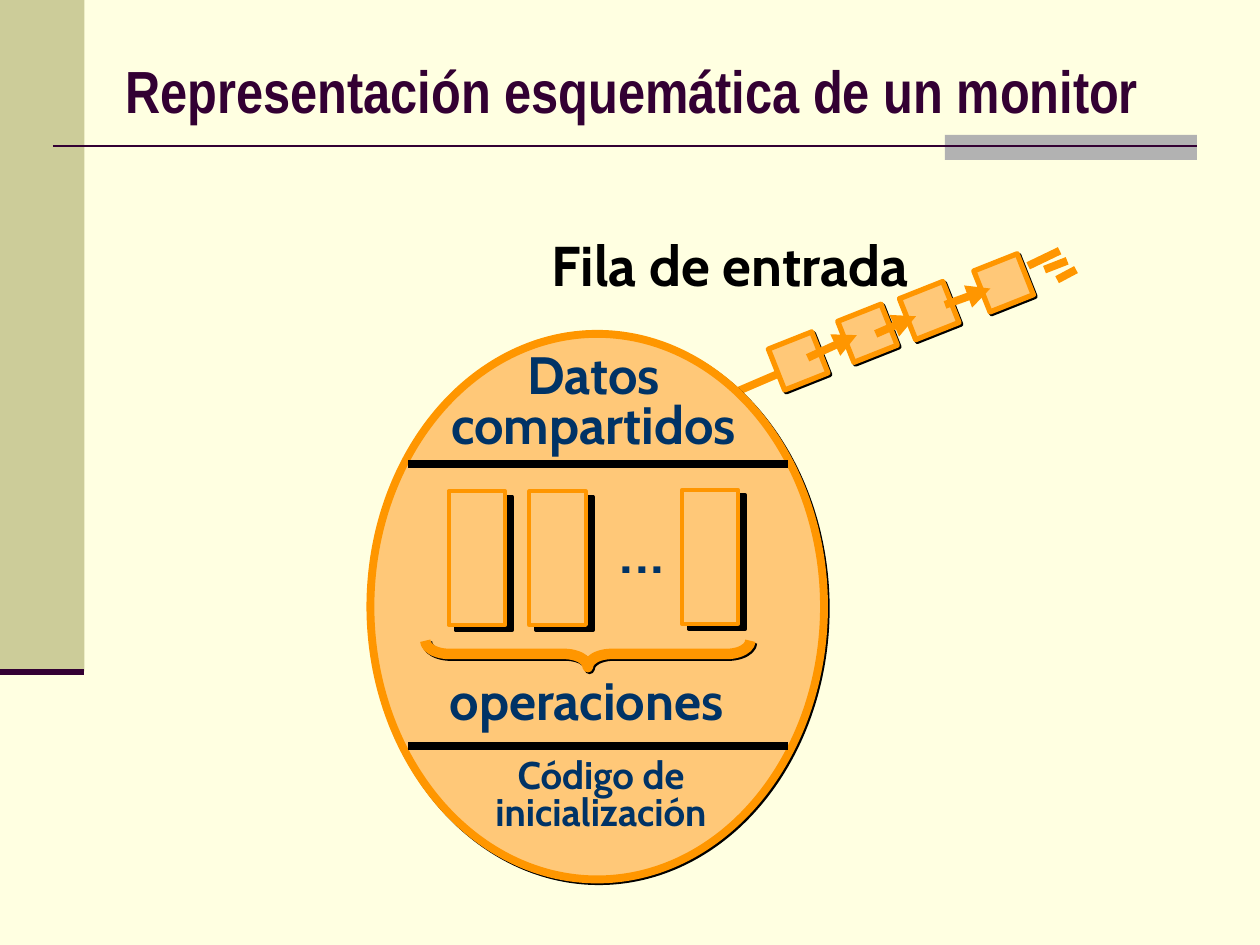
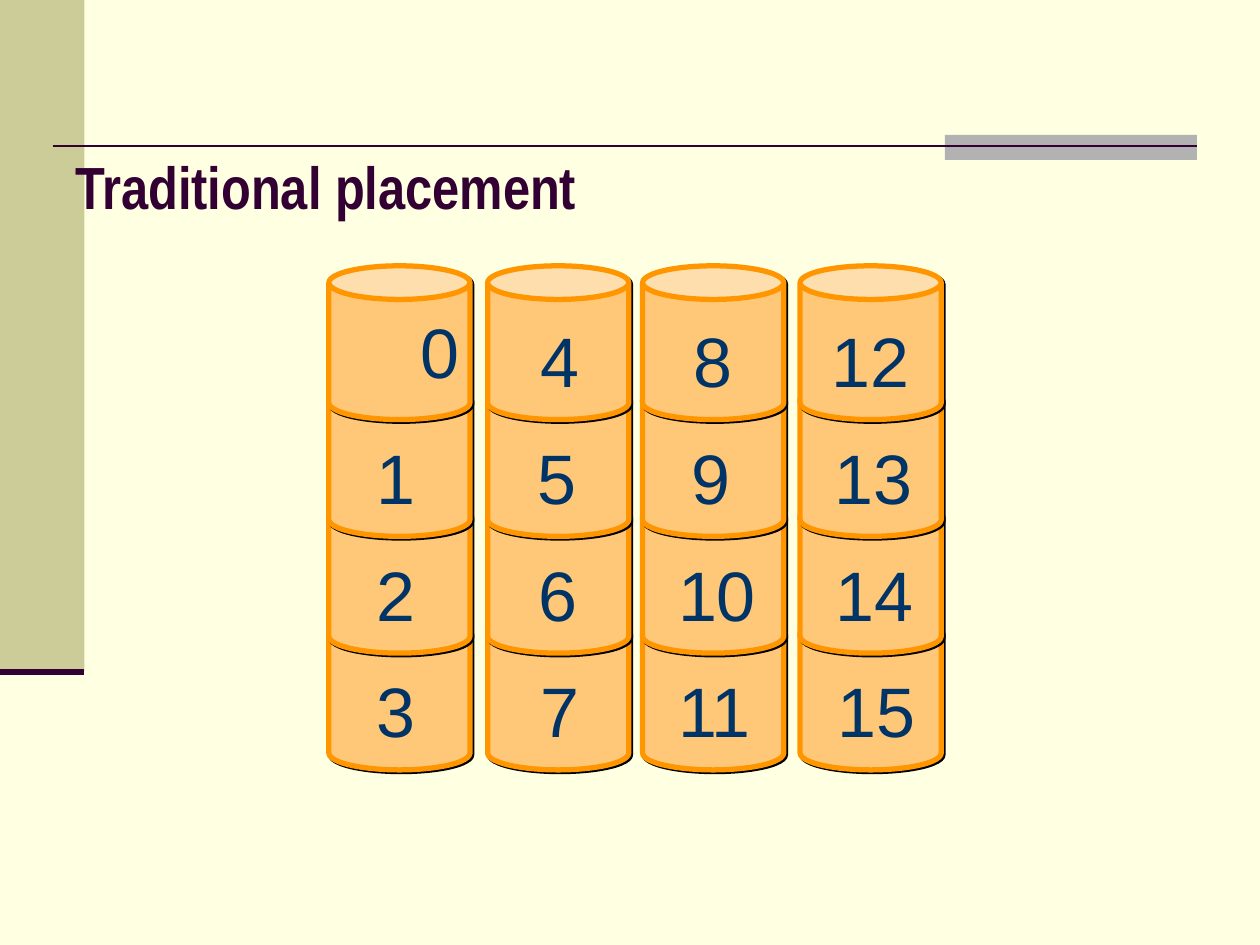
from dataclasses import dataclass
from typing import NamedTuple, Optional

from lxml.etree import SubElement
from pptx import Presentation
from pptx.dml.color import RGBColor
from pptx.enum.shapes import MSO_CONNECTOR as Connector, MSO_SHAPE as Preset
from pptx.enum.text import MSO_ANCHOR as Anchor, MSO_AUTO_SIZE as AutoSize, PP_ALIGN as Align
from pptx.oxml.ns import qn
from pptx.shapes.autoshape import Shape
from pptx.slide import Slide
from pptx.util import Inches, Pt


@dataclass(frozen=True)
class Theme:
    page: str = "FFFFE1"
    band: str = "CCCC99"
    accent: str = "B2B2B2"
    title: str = "330033"
    fill: str = "FFC878"
    edge: str = "FF9600"
    ink: str = "003366"
    black: str = "000000"
    title_font: str = "Arial Narrow"
    label_font: str = "Cabin"
    number_font: str = "Arial"
    title_size: float = 34
    heading_size: float = 32
    part_size: float = 30
    code_size: float = 22
    dots_size: float = 44
    number_size: float = 40


THEME = Theme()


class Area(NamedTuple):
    left: float
    top: float
    width: float
    height: float


class Shadow(NamedTuple):
    distance: float
    angle: int


class Stroke(NamedTuple):
    x1: float
    y1: float
    x2: float
    y2: float
    arrow: bool = False


@dataclass(frozen=True)
class Label:
    text: str
    area: Area
    size: float
    font: str = THEME.label_font
    color: str = THEME.ink
    bold: bool = True
    align: Align = Align.LEFT
    anchor: Anchor = Anchor.TOP
    spacing: float = 1.0
    wrap: bool = False


THIN_SHADOW = Shadow(1.4, 45)
DEEP_SHADOW = Shadow(5, 37)


def rgb(color: str) -> RGBColor:
    return RGBColor.from_string(color)


def add_shadow(shape: Shape, shadow: Shadow) -> None:
    effects = shape._element.spPr.find(qn("a:effectLst"))
    outer = SubElement(effects, qn("a:outerShdw"), blurRad="0", dist=str(Pt(shadow.distance)),
                       dir=str(shadow.angle * 60000), algn="tl", rotWithShape="0")
    SubElement(outer, qn("a:srgbClr"), val=THEME.black)


def draw_shape(page: Slide, preset: Preset, area: Area, fill: Optional[str] = THEME.fill,
               edge: Optional[str] = THEME.edge, width: float = 3,
               shadow: Optional[Shadow] = THIN_SHADOW, rotation: float = 0) -> Shape:
    shape = page.shapes.add_shape(preset, *map(Inches, area))
    shape.rotation = rotation
    shape.shadow.inherit = False
    if fill:
        shape.fill.solid()
        shape.fill.fore_color.rgb = rgb(fill)
    else:
        shape.fill.background()
    if edge:
        shape.line.color.rgb = rgb(edge)
        shape.line.width = Pt(width)
    else:
        shape.line.fill.background()
    if shadow:
        add_shadow(shape, shadow)
    return shape


def draw_line(page: Slide, stroke: Stroke, color: str, width: float) -> None:
    ends = map(Inches, (stroke.x1, stroke.y1, stroke.x2, stroke.y2))
    line = page.shapes.add_connector(Connector.STRAIGHT, *ends)
    line.line.color.rgb = rgb(color)
    line.line.width = Pt(width)
    if stroke.arrow:
        SubElement(line.line._get_or_add_ln(), qn("a:tailEnd"), type="triangle")
    SubElement(line._element.spPr, qn("a:effectLst"))


def draw_label(page: Slide, label: Label) -> None:
    box = page.shapes.add_textbox(*map(Inches, label.area))
    frame = box.text_frame
    frame.word_wrap = label.wrap
    frame.auto_size = AutoSize.NONE if label.wrap else AutoSize.SHAPE_TO_FIT_TEXT
    frame.vertical_anchor = label.anchor
    para = frame.paragraphs[0]
    para.text = label.text
    para.alignment = label.align
    para.line_spacing = label.spacing
    para.font.name = label.font
    para.font.size = Pt(label.size)
    para.font.bold = label.bold
    para.font.color.rgb = rgb(label.color)


def add_page(deck: Presentation, title: str, title_area: Area) -> Slide:
    """Add a slide with the common background, bands, rules and title."""
    page = deck.slides.add_slide(deck.slide_layouts[6])
    page.background.fill.solid()
    page.background.fill.fore_color.rgb = rgb(THEME.page)
    for area, color in ((Area(0, 0, 0.67, 5.33), THEME.band),
                        (Area(7.5, 1.07, 2, 0.2), THEME.accent)):
        draw_shape(page, Preset.RECTANGLE, area, color, edge=None, shadow=None)
    draw_line(page, Stroke(0.42, 1.16, 9.5, 1.16), THEME.title, 1.5)
    draw_line(page, Stroke(0, 5.33, 0.67, 5.33), THEME.title, 3.5)
    draw_label(page, Label(title, title_area, THEME.title_size, THEME.title_font,
                           THEME.title, anchor=Anchor.MIDDLE, wrap=True))
    return page


def build_monitor(deck: Presentation) -> None:
    page = add_page(deck, "Representación esquemática de un monitor",
                    Area(0.9, 0.28, 8.44, 0.87))

    # Entry queue
    draw_label(page, Label("Fila de entrada", Area(4.28, 1.78, 3.53, 0.64),
                           THEME.heading_size, color=THEME.black))
    draw_line(page, Stroke(5.82, 3.12, 6.17, 2.97), THEME.edge, 4.5)
    for left, top in ((6.15, 2.69), (6.7, 2.47), (7.19, 2.29), (7.78, 2.07)):
        draw_shape(page, Preset.RECTANGLE, Area(left, top, 0.37, 0.35), rotation=338.4)
    queue_strokes = (
        Stroke(6.41, 2.84, 6.8, 2.66, arrow=True),
        Stroke(6.95, 2.65, 7.27, 2.51, arrow=True),
        Stroke(7.5, 2.42, 7.86, 2.29, arrow=True),
        Stroke(8.16, 2.11, 8.41, 1.99),
        Stroke(8.29, 2.14, 8.47, 2.07),
        Stroke(8.39, 2.22, 8.54, 2.14),
    )
    for stroke in queue_strokes:
        draw_line(page, stroke, THEME.edge, 4.5)

    # Monitor body with its operations
    draw_shape(page, Preset.OVAL, Area(2.94, 2.65, 3.6, 4.33), width=4.5)
    for left, top in ((3.56, 3.9), (4.2, 3.9), (5.41, 3.89)):
        draw_shape(page, Preset.RECTANGLE, Area(left, top, 0.45, 1.06),
                   width=2.25, shadow=DEEP_SHADOW)
    brace = draw_shape(page, Preset.RIGHT_BRACE, Area(4.56, 3.9, 0.21, 2.58),
                       fill=None, width=6, rotation=90)
    brace.adjustments[0] = 0.9

    # Names of the parts and the rules between them
    centred = dict(align=Align.CENTER, anchor=Anchor.MIDDLE, spacing=0.8)
    part_labels = (
        Label("Datos\vcompartidos", Area(3.3, 2.76, 2.82, 0.9), THEME.part_size, **centred),
        Label("...", Area(4.81, 3.89, 0.69, 0.84), THEME.dots_size, bold=False),
        Label("operaciones", Area(3.47, 5.25, 2.73, 0.6), THEME.part_size),
        Label("Código de\vinicialización", Area(3.68, 5.98, 2.18, 0.69),
              THEME.code_size, **centred),
    )
    for label in part_labels:
        draw_label(page, label)
    for y in (3.68, 5.92):
        draw_line(page, Stroke(3.24, y, 6.25, y), THEME.black, 4.5)


class Disk(NamedTuple):
    left: float
    label_centres: tuple[float, ...]


def build_placement(deck: Presentation) -> None:
    page = add_page(deck, "Traditional placement", Area(0.5, 0.85, 9, 1.25))
    disks = (
        Disk(2.61, (3.49, 3.14, 3.14, 3.14)),
        Disk(3.87, (4.44, 4.42, 4.43, 4.44)),
        Disk(5.1, (5.66, 5.64, 5.69, 5.67)),
        Disk(6.35, (6.91, 6.93, 6.94, 6.96)),
    )
    rows = 4
    first_top, last_top = 2.11, 4.89
    step = (last_top - first_top) / (rows - 1)

    # Each disk is a stack of cans, drawn from the bottom up
    for disk in disks:
        for row in reversed(range(rows)):
            can = draw_shape(page, Preset.CAN,
                             Area(disk.left, first_top + row * step, 1.12, 1.22))
            can.adjustments[0] = 0.238

    # Block numbers run down each disk; block 0 sits higher
    for column, disk in enumerate(disks):
        for row, centre in enumerate(disk.label_centres):
            block = column * rows + row
            width = 0.89 if block < 10 else 1.2
            top = 2.47 + row * step if block else 2.4
            draw_label(page, Label(str(block), Area(centre - width / 2, top, width, 0.77),
                                   THEME.number_size, THEME.number_font, bold=False,
                                   align=Align.CENTER, anchor=Anchor.MIDDLE))


def main() -> None:
    deck = Presentation()
    deck.slide_width, deck.slide_height = Inches(10), Inches(7.5)
    build_monitor(deck)
    build_placement(deck)
    deck.save("out.pptx")


if __name__ == "__main__":
    main()
